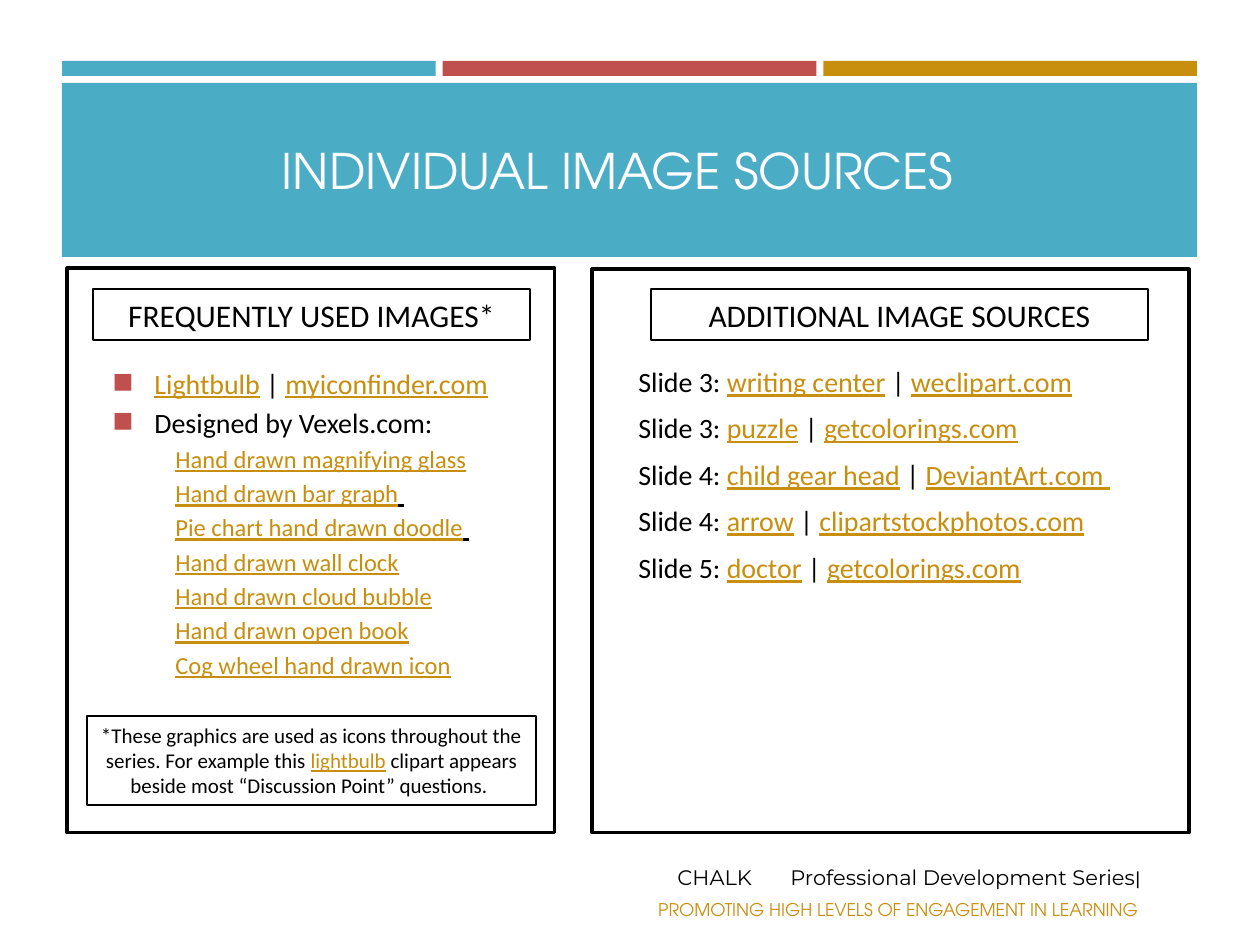
from lxml import etree
from pptx import Presentation
from pptx import util as u
from pptx.dml.color import RGBColor
from pptx.enum import shapes, text
from pptx.oxml.ns import qn

PX = 914400 / 126
TEAL, RED, GOLD = "4BACC6", "C0504D", "C88E0E"
BLACK, WHITE = "000000", "FFFFFF"
BODY, HEADING, FOOTER = "Calibri", "TeX Gyre Adventor", "Montserrat"
CENTER, MIDDLE = text.PP_ALIGN.CENTER, text.MSO_ANCHOR.MIDDLE


def px(length):
    return u.Emu(round(length * PX))


def color(hex_code):
    return RGBColor.from_string(hex_code)


def plain(words, **look):
    return {"words": words, "color": BLACK, "underline": False, **look}


def link(words):
    return plain(words, color=GOLD, underline=True)


def add_box(slide, left, top, width, height, fill=None, line=None, weight=0.75):
    box = slide.shapes.add_shape(shapes.MSO_SHAPE.RECTANGLE, px(left), px(top), px(width), px(height))
    box.shadow.inherit = False
    if fill:
        box.fill.solid()
        box.fill.fore_color.rgb = color(fill)
    else:
        box.fill.background()
    if line:
        box.line.color.rgb = color(line)
        box.line.width = u.Pt(weight)
    else:
        box.line.fill.background()
    return box


def add_frame(slide, left, top, width, height, anchor=text.MSO_ANCHOR.TOP):
    frame = slide.shapes.add_textbox(px(left), px(top), px(width), px(height)).text_frame
    frame.word_wrap = True
    frame.vertical_anchor = anchor
    return frame


def write(frame, *runs, size=16, font=BODY, align=text.PP_ALIGN.LEFT, before=0,
          spacing=None, indent=0, bullet=None, tab=None):
    """Fill the first empty paragraph, or append one, with formatted runs."""
    first = frame.paragraphs[0]
    is_first = not first.runs
    paragraph = first if is_first else frame.add_paragraph()
    props = paragraph._p.get_or_add_pPr()
    if indent:
        props.set("marL", str(px(indent)))
        props.set("indent", str(-px(indent) if bullet else 0))
    if bullet:
        bullet_color = etree.SubElement(props, qn("a:buClr"))
        etree.SubElement(bullet_color, qn("a:srgbClr"), val=RED)
        etree.SubElement(props, qn("a:buSzPct"), val="92000")
        etree.SubElement(props, qn("a:buChar"), char=bullet)
    if tab:
        stops = etree.SubElement(props, qn("a:tabLst"))
        etree.SubElement(stops, qn("a:tab"), pos=str(px(tab)), algn="l")
    paragraph.alignment = align
    paragraph.space_before = u.Pt(0 if is_first else before)
    if spacing:
        paragraph.line_spacing = spacing
    for part in runs:
        run = paragraph.add_run()
        run.text = part["words"]
        run.font.size = u.Pt(size)
        run.font.name = part.get("font", font)
        run.font.underline = part["underline"]
        run.font.color.rgb = color(part["color"])


def add_header(slide, left, top, width):
    gap, stripe_height = 7, 15
    stripe_width = (width - 2 * gap) / 3
    for column, fill in enumerate((TEAL, RED, GOLD)):
        add_box(slide, left + column * (stripe_width + gap), top, stripe_width, stripe_height, fill)
    add_box(slide, left, top + stripe_height + gap, width, 174, TEAL)
    title = add_frame(slide, left + 5, top + 34, width - 34, 149, MIDDLE)
    write(title, plain("INDIVIDUAL IMAGE SOURCES", color=WHITE), size=28, font=HEADING, align=CENTER)


def add_heading(slide, left, top, width, words):
    frame = add_box(slide, left, top, width, 51, WHITE, BLACK).text_frame
    frame.word_wrap = True
    frame.vertical_anchor = MIDDLE
    write(frame, plain(words), size=18, align=CENTER)


def add_frequent_images(slide, left, top, width, height):
    add_box(slide, left, top, width, height, WHITE, BLACK, 1.75)
    add_heading(slide, left + 26, top + 21, width - 51, "FREQUENTLY USED IMAGES*")

    credits = add_frame(slide, left + 33, top + 92, 423, 404)
    write(credits, link("Lightbulb"), plain(" | "), link("myiconfinder.com"), indent=42, bullet="◼")
    write(credits, plain("Designed by Vexels.com:"), before=3.2, indent=42, bullet="◼")
    underlined_space = plain(" ", underline=True)
    drawings = [
        ("Hand drawn magnifying glass",),
        ("Hand drawn bar graph", underlined_space),
        ("Pie chart hand drawn doodle", underlined_space),
        ("Hand drawn wall clock",),
        ("Hand drawn cloud bubble",),
        ("Hand drawn open book",),
        ("Cog wheel hand drawn icon",),
    ]
    for name, *ending in drawings:
        write(credits, link(name), *ending, size=14, before=2.8, indent=63)

    note = add_box(slide, left + 20, top + 448, width - 39, 89, WHITE, BLACK).text_frame
    note.word_wrap = True
    note.vertical_anchor = text.MSO_ANCHOR.TOP
    write(note,
          plain("*These graphics are used as icons throughout the series. For example this "),
          link("lightbulb"),
          plain(" clipart appears beside most “Discussion Point” questions. "),
          size=12, align=CENTER)


def add_additional_sources(slide, left, top, width, height):
    add_box(slide, left, top, width, height, WHITE, BLACK, 1.75)
    add_heading(slide, left + 59, top + 20, 497, "ADDITIONAL IMAGE SOURCES")
    credits = add_frame(slide, left + 34, top + 87, 552, 404)
    sources = [
        (3, "writing center", "weclipart.com"),
        (3, "puzzle", "getcolorings.com"),
        (4, "child gear head", "DeviantArt.com "),
        (4, "arrow", "clipartstockphotos.com"),
        (5, "doctor", "getcolorings.com"),
    ]
    for number, subject, site in sources:
        write(credits, plain(f"Slide {number}: "), link(subject), plain(" | "), link(site),
              before=6, spacing=1.07)


def add_footer(slide, left, top):
    series = add_frame(slide, left + 53, top, 542, 47, MIDDLE)
    write(series, plain("CHALK\tProfessional Development Series"), plain("|", font=HEADING),
          size=12, font=FOOTER, tab=113)
    motto = add_frame(slide, left + 29, top + 39, 514, 34)
    write(motto, plain("PROMOTING HIGH LEVELS OF ENGAGEMENT IN LEARNING", color=GOLD),
          size=10, font=HEADING, align=CENTER)


def main():
    deck = Presentation()
    deck.slide_width, deck.slide_height = px(1260), px(945)
    slide = deck.slides.add_slide(deck.slide_layouts[6])
    add_header(slide, 62, 61, 1135)
    add_footer(slide, 612, 854)
    add_frequent_images(slide, 67, 268, 488, 565)
    add_additional_sources(slide, 592, 269, 597, 564)
    deck.save("out.pptx")


if __name__ == "__main__":
    main()
